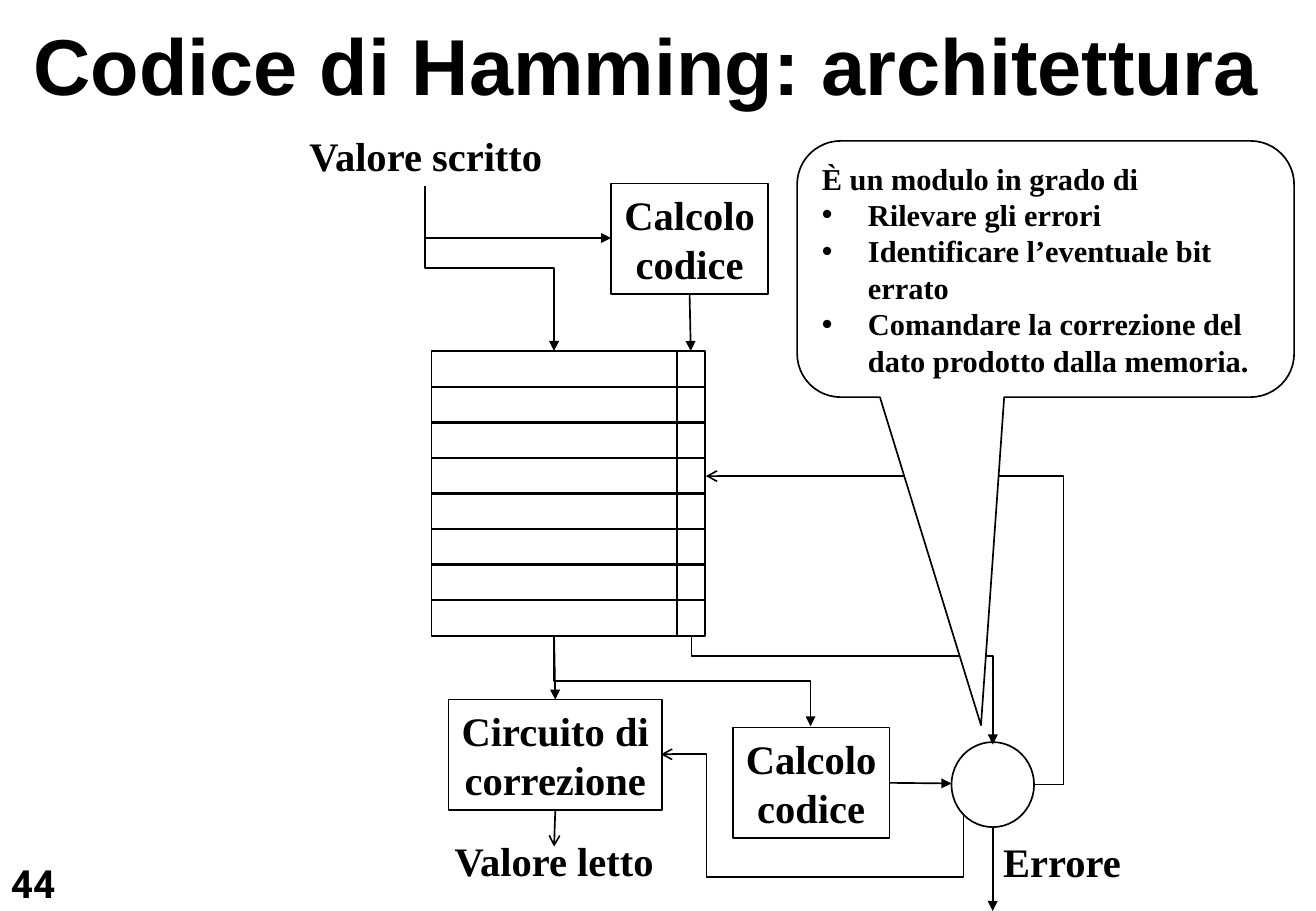
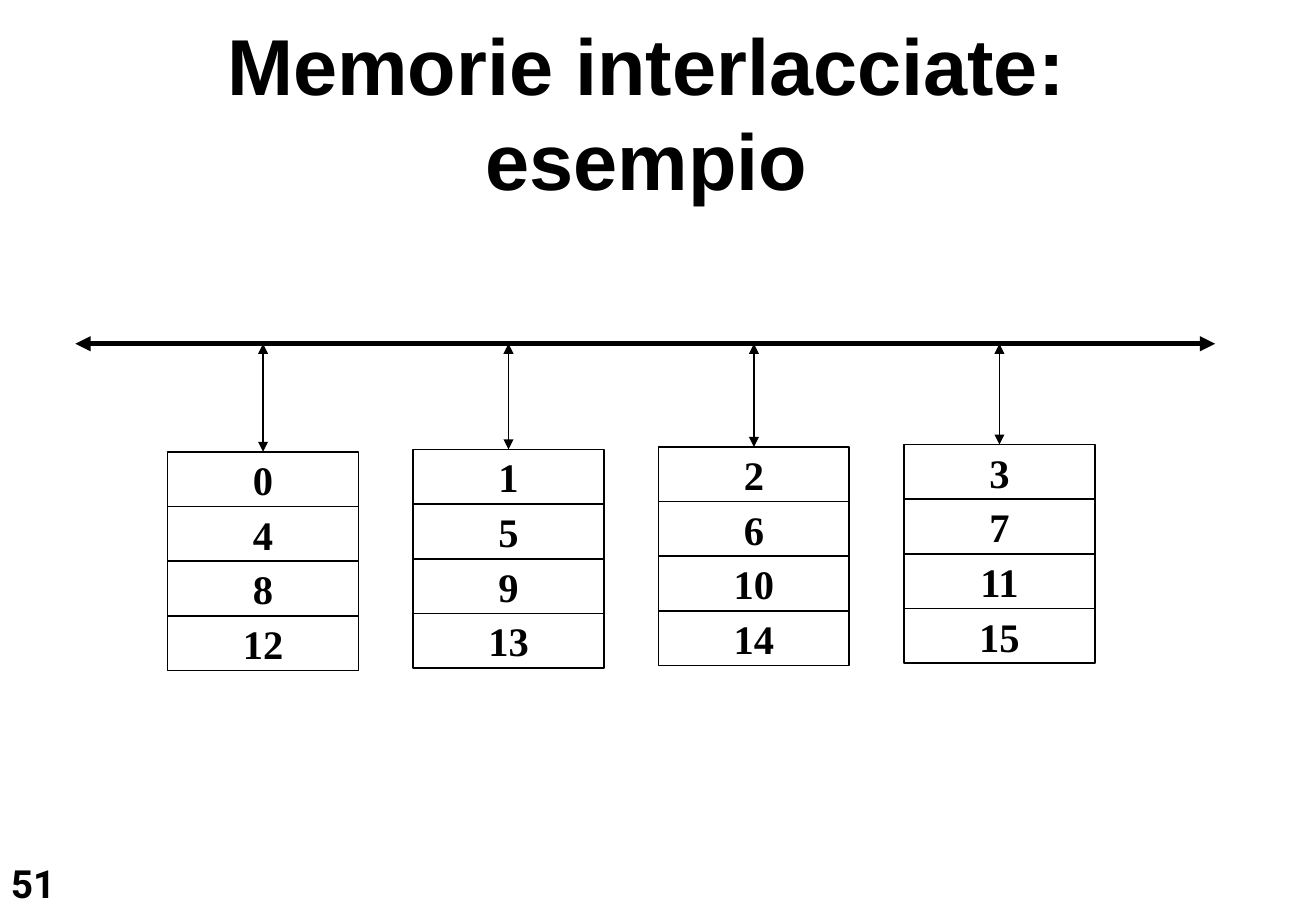
from pptx import Presentation
from pptx import util as u
from pptx.dml import color
from pptx.enum import shapes, text
from pptx.oxml import ns
from lxml import etree

INK = "000000"
PAPER = "FFFFFF"
SERIF = "Times New Roman"
MID = text.MSO_ANCHOR.MIDDLE
TOP = text.MSO_ANCHOR.TOP
LEFT = text.PP_ALIGN.LEFT
CENTER = text.PP_ALIGN.CENTER
BOX = shapes.MSO_SHAPE.RECTANGLE
OVAL = shapes.MSO_SHAPE.OVAL
CALLOUT = shapes.MSO_SHAPE.ROUNDED_RECTANGULAR_CALLOUT
LINE = shapes.MSO_CONNECTOR.STRAIGHT
ELBOW = shapes.MSO_CONNECTOR.ELBOW


def inch(*vals):
    return [u.Inches(v) for v in vals]


def rgb(code):
    return color.RGBColor.from_string(code)


def sub(node, tag, **attrs):
    return etree.SubElement(node, ns.qn(tag), attrs)


def write(shape, *lines, size=24, font=SERIF, align=CENTER, anchor=MID,
          wrap=False, pad=(0.1, 0.05), bullets=False):
    frame = shape.text_frame
    frame.auto_size = text.MSO_AUTO_SIZE.NONE
    frame.word_wrap = wrap
    frame.vertical_anchor = anchor
    frame.margin_left = frame.margin_right = u.Inches(pad[0])
    frame.margin_top = frame.margin_bottom = u.Inches(pad[1])
    for i, line in enumerate(lines):
        para = frame.add_paragraph() if i else frame.paragraphs[0]
        para.text = line
        para.alignment = align
        if bullets and i:
            props = para._p.get_or_add_pPr()
            hang = u.Inches(0.38)
            props.set("marL", str(hang))
            props.set("indent", str(-hang))
            sub(props, "a:buFont", typeface="Arial")
            sub(props, "a:buChar", char="•")
        for run in para.runs:
            run.font.size = u.Pt(size)
            run.font.name = font
            run.font.bold = True
            run.font.color.rgb = rgb(INK)


def label(slide, at, *lines, **style):
    box = slide.shapes.add_textbox(*inch(*at))
    write(box, *lines, **style)


def block(slide, at, *lines, kind=BOX, fill=None, **style):
    shape = slide.shapes.add_shape(kind, *inch(*at))
    shape.shadow.inherit = False
    if fill:
        shape.fill.solid()
        shape.fill.fore_color.rgb = rgb(fill)
    else:
        shape.fill.background()
    shape.line.color.rgb = rgb(INK)
    shape.line.width = u.Pt(1)
    if lines:
        write(shape, *lines, **style)
    return shape


def finish(wire, width, head, tail):
    wire.line.color.rgb = rgb(INK)
    wire.line.width = u.Pt(width)
    props = wire._element.spPr
    edge = props.find(ns.qn("a:ln"))
    if head:
        sub(edge, "a:headEnd", type=head)
    sub(edge, "a:tailEnd", type=tail)
    sub(props, "a:effectLst")


def arrow(slide, start, end, width=1, head=None, tail="triangle",
          source=None, target=None):
    wire = slide.shapes.add_connector(LINE, *inch(*start, *end))
    if source:
        wire.begin_connect(*source)
    if target:
        wire.end_connect(*target)
    finish(wire, width, head, tail)


def elbow(slide, start, end, *bends, upright=True, tail="triangle"):
    (x1, y1), (x2, y2) = start, end
    ends = (x1, y1, x2, y2)
    if upright:
        cx, cy = (x1 + x2) / 2, (y1 + y2) / 2
        dx, dy = abs(y2 - y1) / 2, abs(x2 - x1) / 2
        ends = (cx - dx, cy - dy, cx + dx, cy + dy)
    wire = slide.shapes.add_connector(ELBOW, *inch(*ends))
    props = wire._element.spPr
    if upright:
        frame = props.find(ns.qn("a:xfrm"))
        frame.set("rot", str((270 if x2 > x1 else 90) * 60000))
        if (x2 > x1) == (y2 > y1):
            frame.set("flipH", "1")
    geom = props.find(ns.qn("a:prstGeom"))
    geom.set("prst", f"bentConnector{len(bends) + 2}")
    guides = geom.find(ns.qn("a:avLst"))
    if guides is None:
        guides = sub(geom, "a:avLst")
    for i, bend in enumerate(bends, 1):
        sub(guides, "a:gd", name=f"adj{i}", fmla=f"val {round(bend * 100000)}")
    finish(wire, 1, None, tail)


def start(deck, title, at, number):
    slide = deck.slides.add_slide(deck.slide_layouts[5])
    head = slide.shapes.title
    head.left, head.top, head.width, head.height = inch(*at)
    write(head, title, size=47, font="Arial", anchor=TOP, wrap=True,
          pad=(0.05, 0.02))
    label(slide, (0.04, 7.06, 0.54, 0.43), number, size=23, font="Roboto",
          align=LEFT, anchor=TOP, pad=(0.05, 0.02))
    return slide


def hamming(deck):
    slide = start(deck, "Codice di Hamming: architettura",
                  (0.18, 0.11, 10.28, 0.83), "44")
    rows, top, low = 8, 2.89, 5.23
    words, checks = [], []
    for row in range(rows):
        y = top + row * (low - top) / rows
        words.append(block(slide, (3.55, y, 2.02, 0.3)))
        checks.append(block(slide, (5.57, y, 0.23, 0.3)))

    coder, tester = [block(slide, (x, y, 1.29, 0.91), "Calcolo\ncodice")
                     for x, y in ((5.03, 1.51), (6.03, 5.99))]
    block(slide, (7.83, 6.11, 0.68, 0.7), kind=OVAL)
    label(slide, (2.43, 1.03, 2.15, 0.5), "Valore scritto")
    label(slide, (3.62, 6.83, 1.88, 0.5), "Valore letto")
    label(slide, (8.15, 6.84, 1.18, 0.5), "Errore", anchor=TOP)

    elbow(slide, (3.5, 1.53), (4.56, top), 0.5)
    elbow(slide, (3.5, 1.53), (5.03, 1.96))
    elbow(slide, (4.56, low), (6.67, 5.98), 0.5)
    elbow(slide, (5.69, low), (8.17, 6.13), 0.19)
    elbow(slide, (8.51, 6.46), (5.81, 3.92), -0.09, upright=False,
          tail="arrow")
    arrow(slide, (5.68, 2.42), (5.69, top), source=(coder, 2),
          target=(checks[0], 0))
    arrow(slide, (7.32, 6.44), (7.83, 6.45), source=(tester, 3))
    arrow(slide, (8.17, 6.81), (8.17, 7.5))

    note = block(slide, (6.56, 1.16, 4.09, 2.11),
                 "È un modulo in grado di",
                 "Rilevare gli errori",
                 "Identificare l’eventuale bit errato",
                 "Comandare la correzione del dato prodotto dalla memoria.",
                 kind=CALLOUT, fill=PAPER, size=18, align=LEFT, wrap=True,
                 bullets=True)
    for i, value in enumerate((-0.13, 1.78, 0.17)):
        note.adjustments[i] = value

    fixer = block(slide, (3.69, 5.76, 1.76, 0.91), "Circuito di\ncorrezione")
    arrow(slide, (4.56, low), (4.56, 5.76), source=(words[-1], 2),
          target=(fixer, 0))
    arrow(slide, (4.56, 6.67), (4.56, 6.97), source=(fixer, 2), tail="arrow")
    elbow(slide, (7.93, 6.71), (5.44, 6.21), -1.02, 0.85, tail="arrow")


def banks(deck):
    slide = start(deck, "Memorie interlacciate: esempio",
                  (0.51, 0.11, 9.62, 0.82), "51")
    count, wide, high, bus = 4, 1.57, 0.45, 2.83
    arrow(slide, (0.62, bus), (10, bus), width=3, head="triangle")
    for bank in range(count):
        x, y = 1.38 + 2.02 * bank, 3.72 - 0.02 * bank
        cells = [block(slide, (x, y + high * row, wide, high),
                       str(bank + count * row)) for row in range(4)]
        mid = x + wide / 2
        arrow(slide, (mid, bus), (mid, y), head="triangle",
              target=(cells[0], 0))


def main():
    deck = Presentation()
    deck.slide_width, deck.slide_height = inch(10.83, 7.5)
    hamming(deck)
    banks(deck)
    deck.save("out.pptx")


if __name__ == "__main__":
    main()
